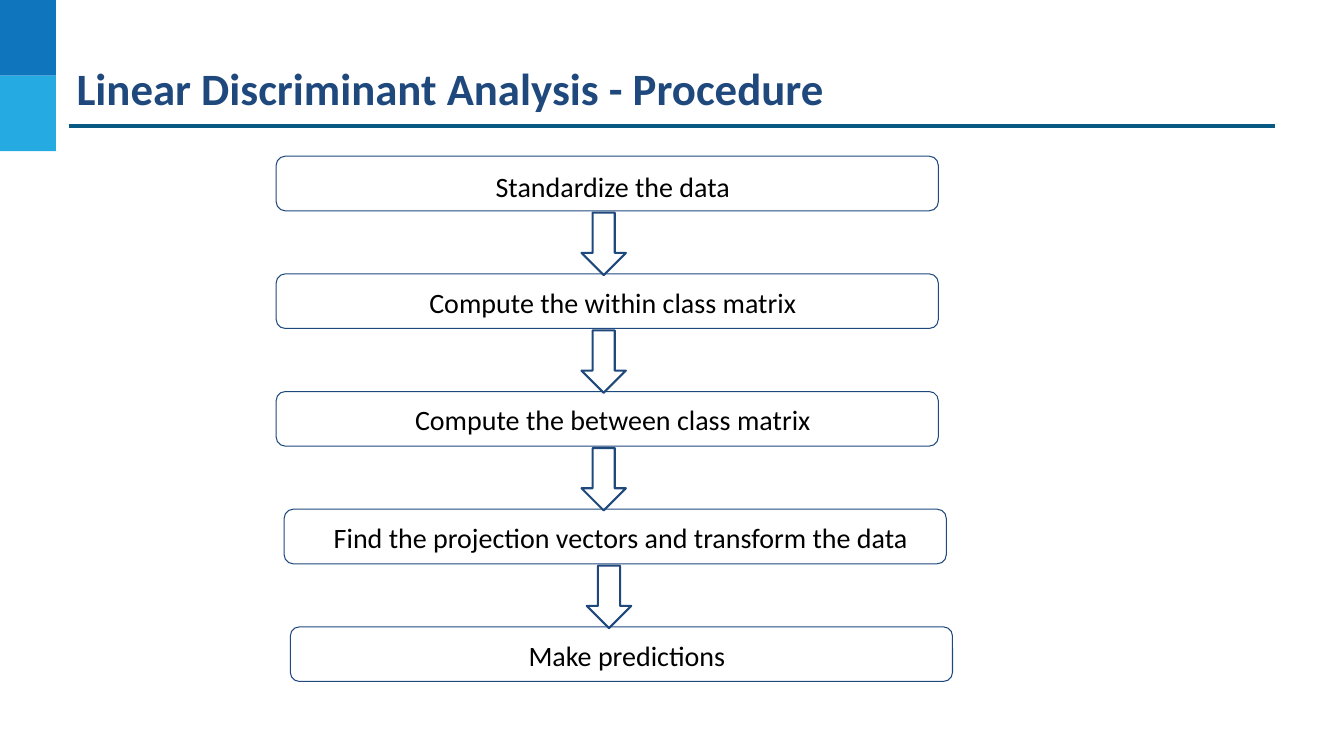
"""Build the Linear Discriminant Analysis procedure slide."""
import pptx
import pptx.dml.color
import pptx.enum.shapes
import pptx.enum.text
import pptx.oxml
import pptx.oxml.ns
import pptx.util

Pt = pptx.util.Pt
RGBColor = pptx.dml.color.RGBColor
MSO_SHAPE = pptx.enum.shapes.MSO_SHAPE
PP_ALIGN = pptx.enum.text.PP_ALIGN

TITLE = "Linear Discriminant Analysis - Procedure"
# Step text, box left, text top offset
STEPS = [
    ("Standardize the data", 197.3, 2.2),
    ("Compute the within class matrix", 197.3, 0.9),
    ("Compute the between class matrix", 197.3, 0.9),
    ("Find the projection vectors and transform the data", 203, 0.9),
    ("Make predictions", 207.4, 0.9),
]
ARROW_LEFTS = [415.4, 415.4, 415.4, 419.2]

NAVY = RGBColor(0x1F, 0x49, 0x7D)
BLACK = RGBColor(0, 0, 0)
BLUE = RGBColor(0x0F, 0x75, 0xBD)
SKY = RGBColor(0x25, 0xAA, 0xE2)
TEAL = RGBColor(0x09, 0x5A, 0x82)

FIRST_TOP, PITCH = 111.6, 84.05
BOX_W, BOX_H = 473, 39
TEXT_INDENT, TEXT_W = 18.7, 443.5
ARROW_DROP, ARROW_W, ARROW_H = 40.3, 31.7, 44.6


def add_shape(slide, kind, left, top, width, height, fill=None, line_width=None):
    sp = slide.shapes.add_shape(kind, Pt(left), Pt(top), Pt(width), Pt(height))
    sp.shadow.inherit = False
    if fill is None:
        sp.fill.background()
    else:
        sp.fill.solid()
        sp.fill.fore_color.rgb = fill
    if line_width is None:
        sp.line.fill.background()
    else:
        sp.line.color.rgb = NAVY
        sp.line.width = Pt(line_width)
    return sp


def add_text(slide, text, left, top, width, height, inset, size, color, bold, align):
    tf = slide.shapes.add_textbox(Pt(left), Pt(top), Pt(width), Pt(height)).text_frame
    tf.word_wrap = True
    tf.margin_left = tf.margin_right = tf.margin_top = tf.margin_bottom = Pt(inset)
    tf.text = text
    p = tf.paragraphs[0]
    p.alignment = align
    font = p.runs[0].font
    font.name, font.size, font.bold = "Calibri", Pt(size), bold
    font.color.rgb = color


def add_header(slide):
    for i, color in enumerate((BLUE, SKY)):
        add_shape(slide, MSO_SHAPE.RECTANGLE, 0, 54 * i, 40, 54, fill=color)
    rule = slide.shapes.add_connector(
        pptx.enum.shapes.MSO_CONNECTOR.STRAIGHT, Pt(49), Pt(90), Pt(910.8), Pt(90))
    rule.line.color.rgb = TEAL
    rule.line.width = Pt(2.25)
    rule._element.spPr.append(pptx.oxml.parse_xml(
        f"<a:effectLst {pptx.oxml.ns.nsdecls('a')}/>"))
    add_text(slide, TITLE, 53.3, 41.8, 861.8, 39, 1.44, 32, NAVY, True, PP_ALIGN.LEFT)


def add_steps(slide):
    for i, (text, left, offset) in enumerate(STEPS):
        top = FIRST_TOP + PITCH * i
        add_shape(slide, MSO_SHAPE.ROUNDED_RECTANGLE, left, top, BOX_W, BOX_H,
                  line_width=0.75)
        add_text(slide, text, left + TEXT_INDENT, top + offset, TEXT_W, BOX_H,
                 7.2, 20, BLACK, False, PP_ALIGN.CENTER)
    for i, left in enumerate(ARROW_LEFTS):
        add_shape(slide, MSO_SHAPE.DOWN_ARROW, left, FIRST_TOP + PITCH * i + ARROW_DROP,
                  ARROW_W, ARROW_H, line_width=1.5)


def main():
    prs = pptx.Presentation()
    prs.slide_width, prs.slide_height = Pt(960), Pt(540)
    slide = prs.slides.add_slide(prs.slide_layouts[6])
    add_header(slide)
    add_steps(slide)
    prs.save("out.pptx")


if __name__ == "__main__":
    main()
